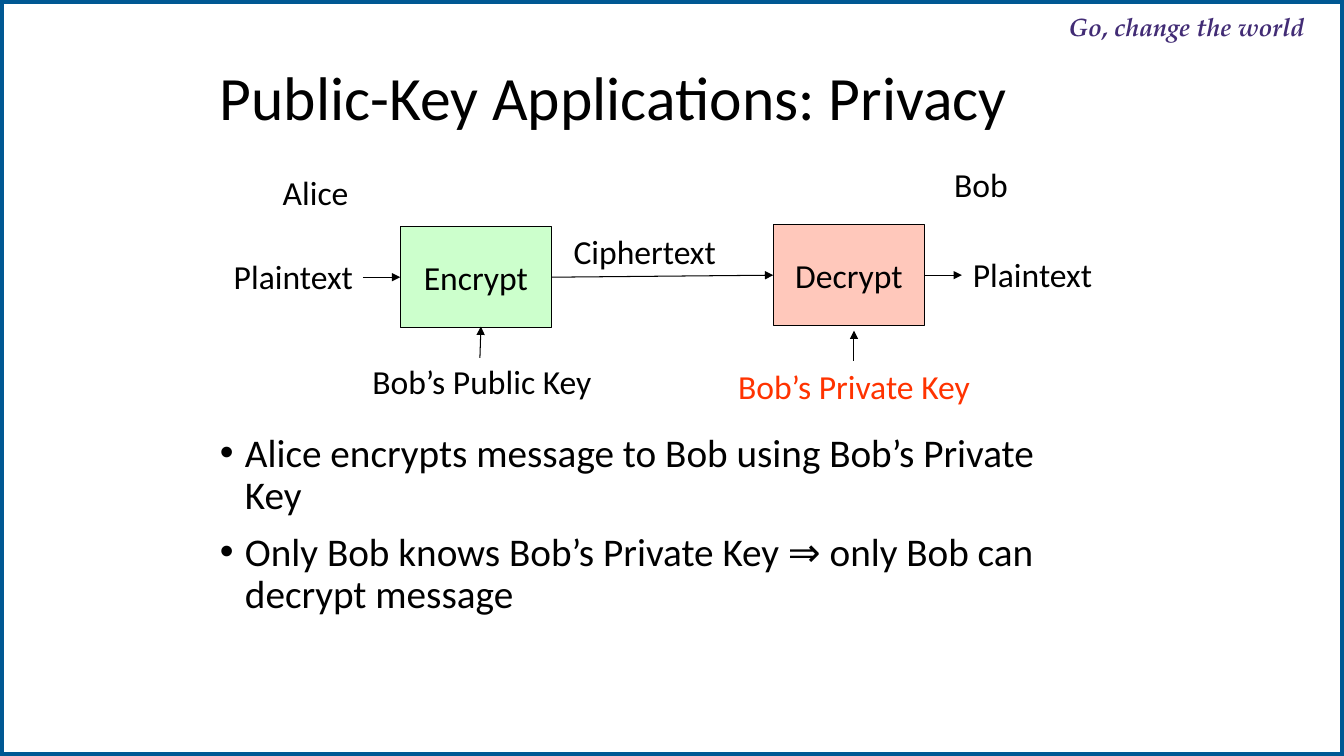
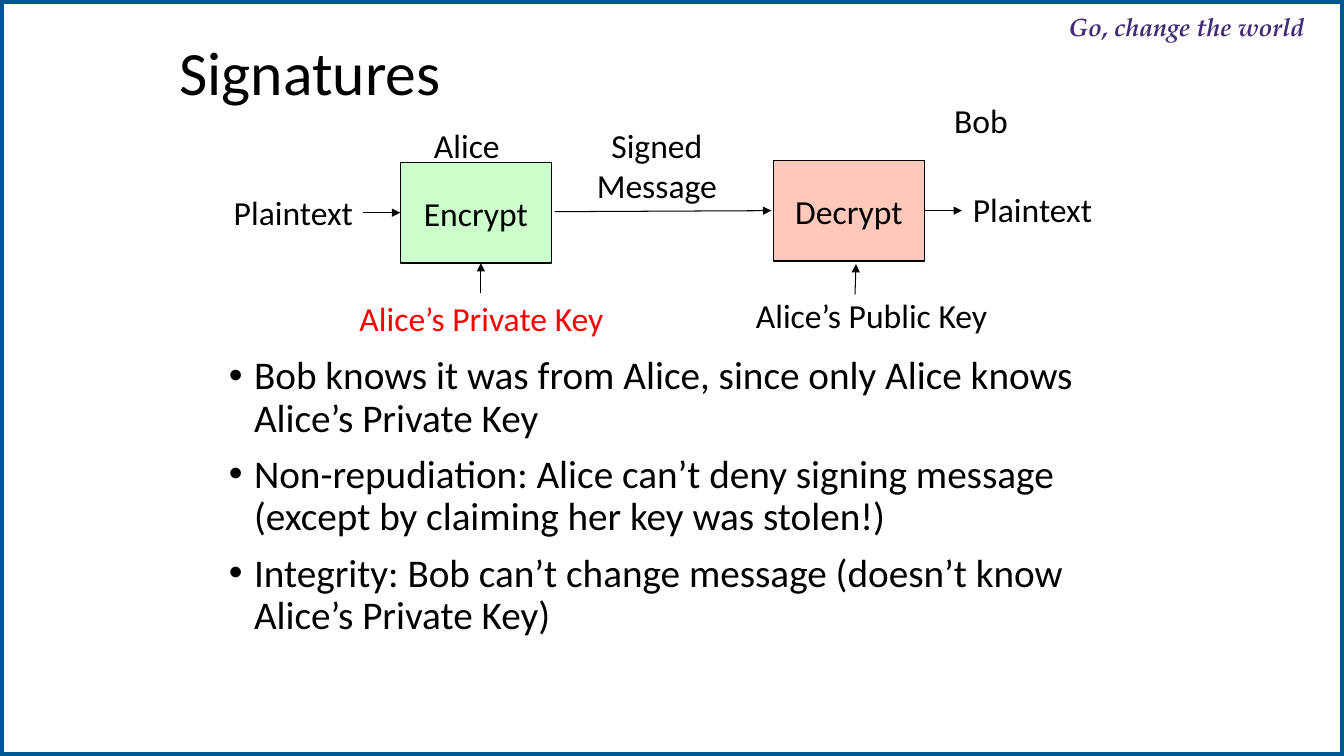
from pptx import Presentation
from pptx import util as u
from pptx.dml.color import RGBColor
from pptx.enum import shapes, text
from pptx.oxml import ns
from lxml import etree

HUES = {"ink": "000000", "edge": "005893", "motto": "422C75", "paper": "FFFFFF",
        "green": "CCFFCC", "pink": "FFC8BB", "orange": "FF3300", "red": "FF0000"}
SIDE = {"left": text.PP_ALIGN.LEFT, "mid": text.PP_ALIGN.CENTER,
        "right": text.PP_ALIGN.RIGHT}


def hue(name):
    return RGBColor.from_string(HUES[name])


def sub(node, tag, **attrs):
    return etree.SubElement(node, ns.qn(tag), attrs)


class Deck:
    font = "Calibri"
    wide, high = 13.33, 7.5

    def __init__(self):
        self.file = Presentation()
        self.file.slide_width = u.Inches(self.wide)
        self.file.slide_height = u.Inches(self.high)
        self.slide = None

    def page(self):
        """Start a slide with the shared frame and motto."""
        self.slide = self.file.slides.add_slide(self.file.slide_layouts[1])
        frame = self.box((0, 0, self.wide, self.high), "paper", "edge", 6)
        self.slide.shapes._spTree.insert(2, frame._element)
        self.motto()

    def place(self, shape, at):
        shape.left, shape.top, shape.width, shape.height = map(u.Inches, at)

    def run(self, para, words, size, ink="ink", font=None):
        run = para.add_run()
        run.text = words
        run.font.size = u.Pt(size)
        run.font.name = font or self.font
        run.font.color.rgb = hue(ink)
        return run

    def motto(self):
        frame = self.slide.shapes.add_textbox(
            *map(u.Inches, (10.59, 0.1, 2.73, 0.32))).text_frame
        frame.word_wrap = True
        frame.margin_left = frame.margin_right = frame.margin_bottom = 0
        frame.margin_top = u.Inches(0.01)
        para = frame.paragraphs[0]
        para.space_before = u.Pt(1)
        para._p.get_or_add_pPr().set("marL", str(u.Inches(0.01)))
        for words, gap in (("Go, change ", -10), ("the ", 0), ("world", -10)):
            run = self.run(para, words, 18, "motto", "TeX Gyre Pagella")
            run.font.bold = run.font.italic = True
            run.font._element.set("spc", str(gap))

    def title(self, words, at):
        shape = self.slide.shapes.title
        self.place(shape, at)
        frame = shape.text_frame
        frame.auto_size = text.MSO_AUTO_SIZE.NONE
        frame.vertical_anchor = text.MSO_ANCHOR.MIDDLE
        para = frame.paragraphs[0]
        para.alignment = SIDE["left"]
        para.line_spacing = 0.9
        self.run(para, words, 44)

    def list(self, items, at):
        shape = self.slide.placeholders[1]
        self.place(shape, at)
        frame = shape.text_frame
        frame.auto_size = text.MSO_AUTO_SIZE.NONE
        for i, words in enumerate(items):
            para = frame.add_paragraph() if i else frame.paragraphs[0]
            para.line_spacing = 0.9
            para.space_before = u.Pt(10)
            props = para._p.get_or_add_pPr()
            props.set("marL", str(u.Inches(0.25)))
            props.set("indent", str(u.Inches(-0.25)))
            sub(props, "a:buFont", typeface="Arial")
            sub(props, "a:buChar", char="•")
            self.run(para, words, 28)

    def box(self, at, fill, line="ink", width=0.75, words=None):
        shape = self.slide.shapes.add_shape(
            shapes.MSO_SHAPE.RECTANGLE, *map(u.Inches, at))
        shape.shadow.inherit = False
        shape.fill.solid()
        shape.fill.fore_color.rgb = hue(fill)
        shape.line.color.rgb = hue(line)
        shape.line.width = u.Pt(width)
        if words:
            frame = shape.text_frame
            frame.word_wrap = False
            frame.vertical_anchor = text.MSO_ANCHOR.MIDDLE
            frame.paragraphs[0].alignment = SIDE["mid"]
            self.run(frame.paragraphs[0], words, 24)
        return shape

    def label(self, lines, left, top, width, ink="ink", side="mid"):
        lines = lines.split("\n")
        high = 0.1 + 0.4 * len(lines)
        frame = self.slide.shapes.add_textbox(
            *map(u.Inches, (left, top, width, high))).text_frame
        frame.word_wrap = False
        for i, words in enumerate(lines):
            para = frame.add_paragraph() if i else frame.paragraphs[0]
            para.alignment = SIDE[side]
            self.run(para, words, 24, ink)

    def arrow(self, *ends):
        line = self.slide.shapes.add_connector(
            shapes.MSO_CONNECTOR.STRAIGHT, *map(u.Inches, ends))
        line.line.color.rgb = hue("ink")
        line.line.width = u.Pt(0.75)
        sub(line.line._get_or_add_ln(), "a:tailEnd", type="triangle")
        sub(line._element.spPr, "a:effectLst")

    def flow(self, top):
        """Draw the encrypt and decrypt steps; top is that of the first box."""
        self.box((3.97, top, 1.5, 1), "green", words="Encrypt")
        self.box((7.67, top - 0.02, 1.5, 1), "pink", words="Decrypt")
        self.label("Plaintext", 2.21, top + 0.24, 1.4)
        self.label("Plaintext", 9.54, top + 0.22, 1.4)
        self.label("Bob", 9.35, top - 0.67, 0.76)
        self.arrow(3.6, top + 0.5, 3.97, top + 0.5)
        self.arrow(9.17, top + 0.48, 9.54, top + 0.48)


def main():
    deck = Deck()

    deck.page()
    deck.title("Public-Key Applications: Privacy", (2.08, 0.37, 9.25, 1.25))
    deck.list(["Alice encrypts message to Bob using Bob’s Private Key",
               "Only Bob knows Bob’s Private Key ⇒ only Bob can decrypt message"],
              (2.08, 4.25, 8.83, 2.42))
    deck.flow(2.25)
    deck.arrow(5.47, 2.75, 7.67, 2.73)
    deck.label("Ciphertext", 5.58, 2.24, 1.63)
    deck.label("Alice", 2.69, 1.66, 0.88)
    deck.label("Bob’s Public Key", 3.58, 3.53, 2.4)
    deck.arrow(4.76, 3.55, 4.77, 3.24)
    deck.label("Bob’s Private Key", 7.21, 3.58, 2.52, "orange")
    deck.arrow(8.47, 3.58, 8.47, 3.28)

    deck.page()
    deck.title("Signatures", (1.68, 0.12, 10, 1.25))
    deck.list(["Bob knows it was from Alice, since only Alice knows "
               "Alice’s Private Key",
               "Non-repudiation: Alice can’t deny signing message "
               "(except by claiming her key was stolen!)",
               "Integrity: Bob can’t change message "
               "(doesn’t know Alice’s Private Key)"],
              (2.17, 3.48, 8.83, 3.42))
    deck.flow(1.61)
    deck.arrow(5.5, 2.1, 7.65, 2.09)
    deck.label("Signed\nMessage", 5.81, 1.19, 1.41)
    deck.label("Alice", 4.19, 1.19, 0.88)
    deck.label("Alice’s Private Key", 3.45, 2.91, 2.65, "red")
    deck.arrow(4.77, 2.91, 4.77, 2.61)
    deck.label("Alice’s Public Key", 7.37, 2.88, 2.52, side="right")
    deck.arrow(8.48, 2.92, 8.49, 2.62)

    deck.file.save("out.pptx")


if __name__ == "__main__":
    main()
